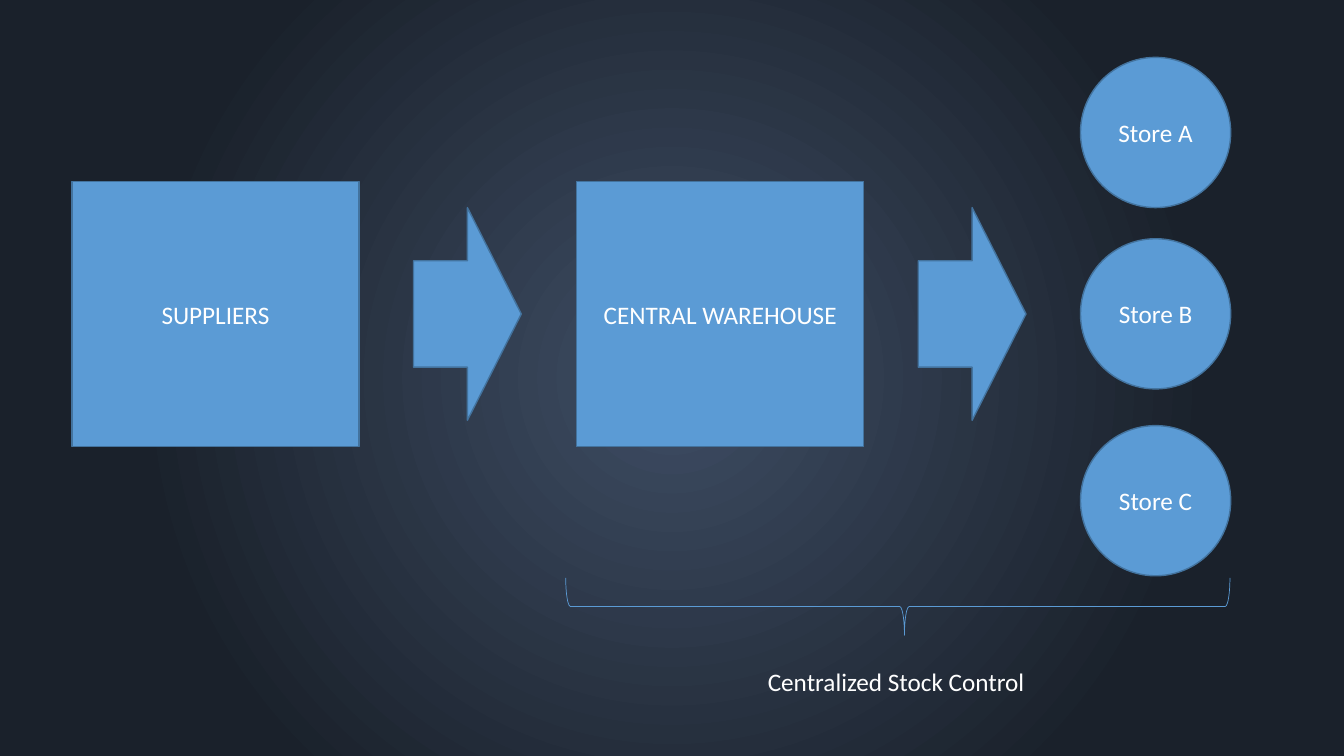
from lxml import etree
from pptx import Presentation
from pptx import util as u
from pptx.dml.color import RGBColor
from pptx.enum import shapes, text
from pptx.oxml.ns import qn

Pt = u.Pt
KIND = shapes.MSO_SHAPE
HUE = {"glow": "3E4D64", "night": "1A212B", "blue": "5B9BD5",
       "edge": "43739E", "white": "FFFFFF"}
FONT = {"name": "Calibri", "size": Pt(18)}


def rgb(name):
    return RGBColor.from_string(HUE[name])


def label(frame, words, align):
    para = frame.paragraphs[0]
    para.alignment = align
    run = para.add_run()
    run.text = words
    for key, val in FONT.items():
        setattr(run.font, key, val)
    run.font.color.rgb = rgb("white")


deck = Presentation()
deck.slide_width, deck.slide_height = Pt(960), Pt(540)
slide = deck.slides.add_slide(deck.slide_layouts[6])

# Background: a round glow from the centre
fill = slide.background.fill
fill.gradient()
for stop, (place, name) in zip(fill.gradient_stops, [(0, "glow"), (0.7, "night")]):
    stop.position = place
    stop.color.rgb = rgb(name)
grad = slide.element.find(".//" + qn("a:gradFill"))
grad.remove(grad.find(qn("a:lin")))
ring = etree.SubElement(grad, qn("a:path"), path="circle")
etree.SubElement(ring, qn("a:fillToRect"), l="50000", t="50000", r="50000", b="50000")

# Flow: two boxes, three stores, two arrows
STEP = 360.5
BOX, STORE, ARROW = (205.2, 189.4), (107.3, 107.3), (77, 151.9)
flow = [(KIND.RECTANGLE, 51.3 + i * STEP, 129.6, BOX, words)
        for i, words in enumerate(["SUPPLIERS", "CENTRAL WAREHOUSE"])]
flow += [(KIND.OVAL, 771.8, top, STORE, "Store " + mark)
         for mark, top in zip("ABC", [41, 170.5, 304])]
flow += [(KIND.RIGHT_ARROW, 295.4 + i * STEP, 148.3, ARROW, "") for i in range(2)]

for kind, left, top, (wide, high), words in flow:
    part = slide.shapes.add_shape(kind, Pt(left), Pt(top), Pt(wide), Pt(high))
    part.shadow.inherit = False
    part.fill.solid()
    part.fill.fore_color.rgb = rgb("blue")
    part.line.color.rgb = rgb("edge")
    part.line.width = Pt(1)
    if words:
        part.text_frame.vertical_anchor = text.MSO_ANCHOR.MIDDLE
        label(part.text_frame, words, text.PP_ALIGN.CENTER)

# Brace under the warehouse and the stores
brace = slide.shapes.add_shape(KIND.RIGHT_BRACE, Pt(620.8), Pt(196), Pt(41), Pt(474.5))
brace.rotation = 90
brace.adjustments[0], brace.adjustments[1] = 0.083, 0.49
brace.shadow.inherit = False
brace.fill.background()
brace.line.color.rgb = rgb("blue")
brace.line.width = Pt(0.5)

# Caption
note = slide.shapes.add_textbox(Pt(541.4), Pt(472.3), Pt(200), Pt(29)).text_frame
look = {"word_wrap": False, "auto_size": text.MSO_AUTO_SIZE.SHAPE_TO_FIT_TEXT}
for key, val in look.items():
    setattr(note, key, val)
label(note, "Centralized Stock Control", text.PP_ALIGN.LEFT)

deck.save("out.pptx")
